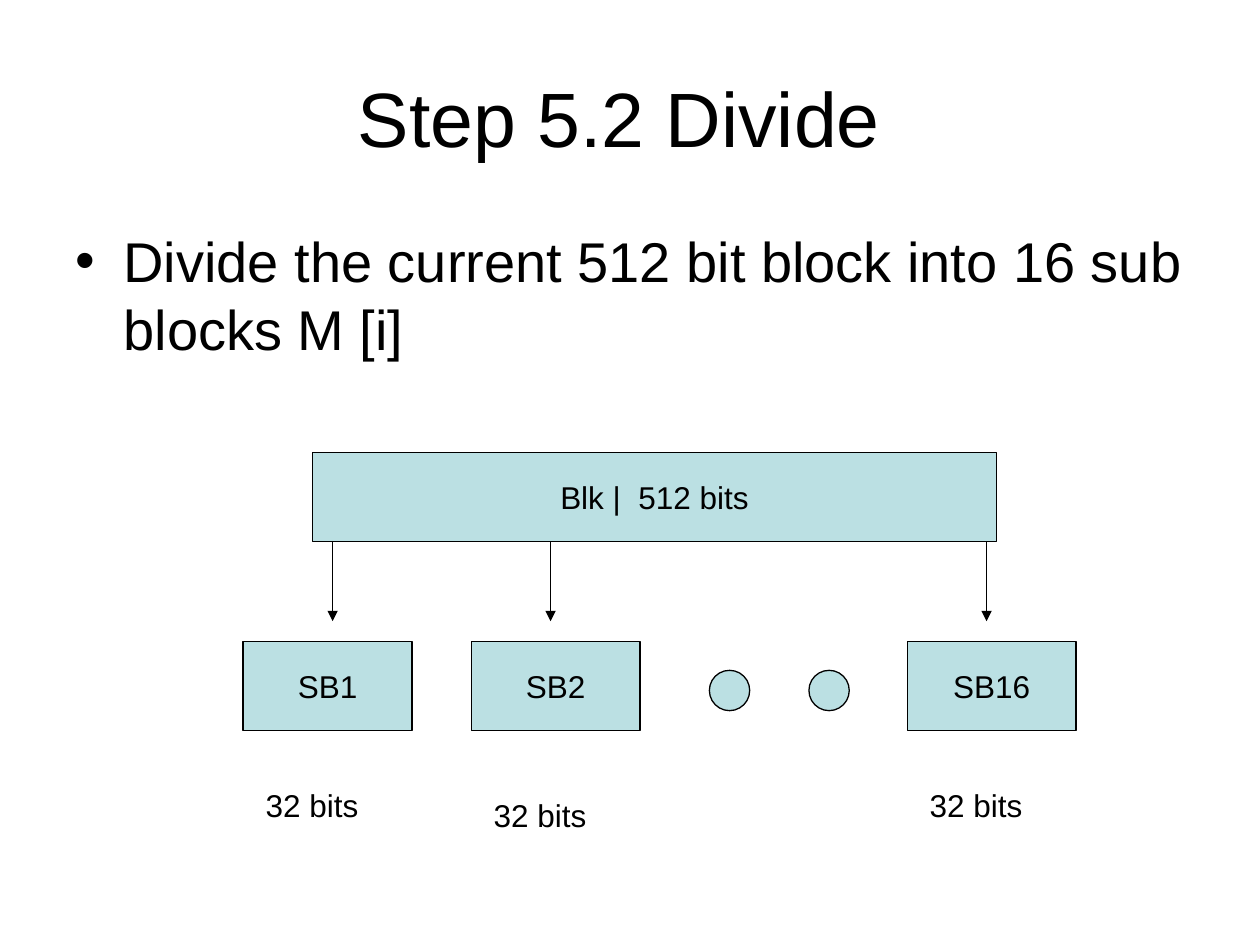
from pptx import Presentation
from pptx.dml.color import RGBColor
from pptx.enum import shapes, text
from pptx.oxml import parse_xml
from pptx.oxml.ns import nsdecls
from pptx.util import Inches, Pt

BLACK, TEAL = "000000", "BBE0E3"
MSO, ALIGN, ANCHOR = shapes.MSO_SHAPE, text.PP_ALIGN, text.MSO_ANCHOR


def set_text(sp, words, size=18, align=ALIGN.CENTER, anchor=ANCHOR.MIDDLE, wrap=True):
    tf = sp.text_frame
    frame = {"auto_size": text.MSO_AUTO_SIZE.NONE, "word_wrap": wrap,
             "vertical_anchor": anchor}
    for name, value in frame.items():
        setattr(tf, name, value)
    p = tf.paragraphs[0]
    p.alignment, p.space_before = align, Pt(0)
    r = p.add_run()
    r.text = words
    for name, value in {"name": "Arial", "size": Pt(size)}.items():
        setattr(r.font, name, value)
    r.font.color.rgb = RGBColor.from_string(BLACK)
    return p


def add_filled(kind, *box):
    sp = s.shapes.add_shape(kind, *map(Inches, box))
    sp.shadow.inherit = False
    sp.fill.solid()
    sp.fill.fore_color.rgb = RGBColor.from_string(TEAL)
    sp.line.color.rgb = RGBColor.from_string(BLACK)
    sp.line.width = Pt(0.75)
    return sp


prs = Presentation()
prs.slide_width, prs.slide_height = Inches(10), Inches(7.5)
s = prs.slides.add_slide(prs.slide_layouts[1])

# Title and bullet
title, body = s.shapes.title, s.placeholders[1]
for sp, top, height in ((title, 0.3, 1.25), (body, 1.75, 4.95)):
    sp.left, sp.top, sp.width, sp.height = map(Inches, (0.5, top, 9, height))
set_text(title, "Step 5.2 Divide ", 44)
p = set_text(body, "Divide the current 512 bit block into 16 sub blocks M [i]",
             32, ALIGN.LEFT, ANCHOR.TOP)
pPr = p._p.get_or_add_pPr()
pPr.set("marL", str(Inches(0.38)))
pPr.set("indent", str(-Inches(0.38)))
pPr.append(parse_xml(f'<a:buChar {nsdecls("a")} char="•"/>'))

# Whole block
block_top, block_h = 3.59, 0.71
block_bottom = block_top + block_h
block = add_filled(MSO.RECTANGLE, 2.48, block_top, 5.43, block_h)
set_text(block, "Blk |  512 bits")

# Sub blocks, each with its arrow and size label
for name, left, arrow_x, label_top in (("SB1", 1.93, 2.64, 6.19),
                                       ("SB2", 3.74, 4.37, 6.27),
                                       ("SB16", 7.2, 7.83, 6.19)):
    arrow = s.shapes.add_connector(
        shapes.MSO_CONNECTOR.STRAIGHT,
        *map(Inches, (arrow_x, block_bottom, arrow_x, 4.93)))
    arrow.line.color.rgb = RGBColor.from_string(BLACK)
    arrow.line.width = Pt(0.75)
    arrow.line._get_or_add_ln().append(
        parse_xml(f'<a:tailEnd {nsdecls("a")} type="triangle"/>'))
    arrow._element.spPr.append(parse_xml(f'<a:effectLst {nsdecls("a")}/>'))

    set_text(add_filled(MSO.RECTANGLE, left, 5.09, 1.34, block_h), name)
    label = s.shapes.add_textbox(*map(Inches, (left + 0.08, label_top, 0.94, 0.4)))
    set_text(label, "32 bits", align=ALIGN.LEFT, anchor=ANCHOR.TOP, wrap=False)

# Dots for the sub blocks between
for left in (5.63, 6.42):
    add_filled(MSO.OVAL, left, 5.32, 0.32, 0.32)

prs.save("out.pptx")
